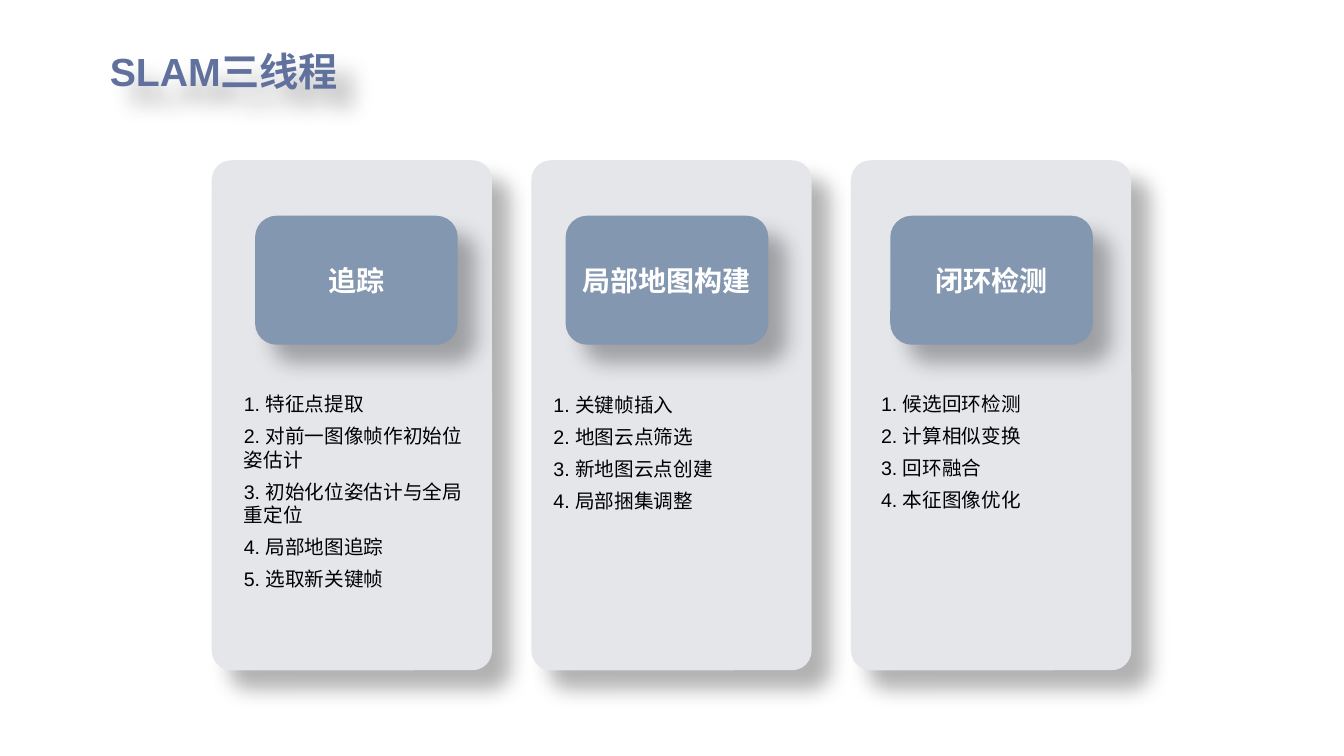
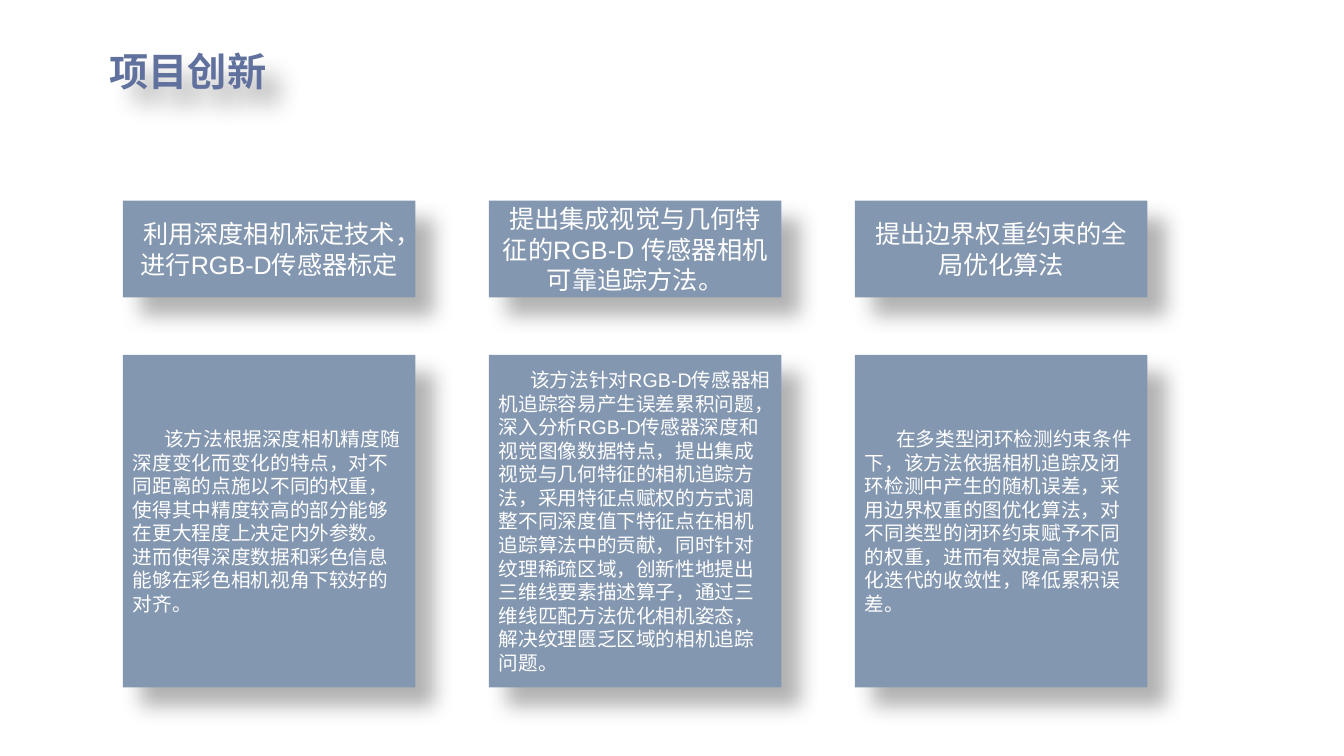
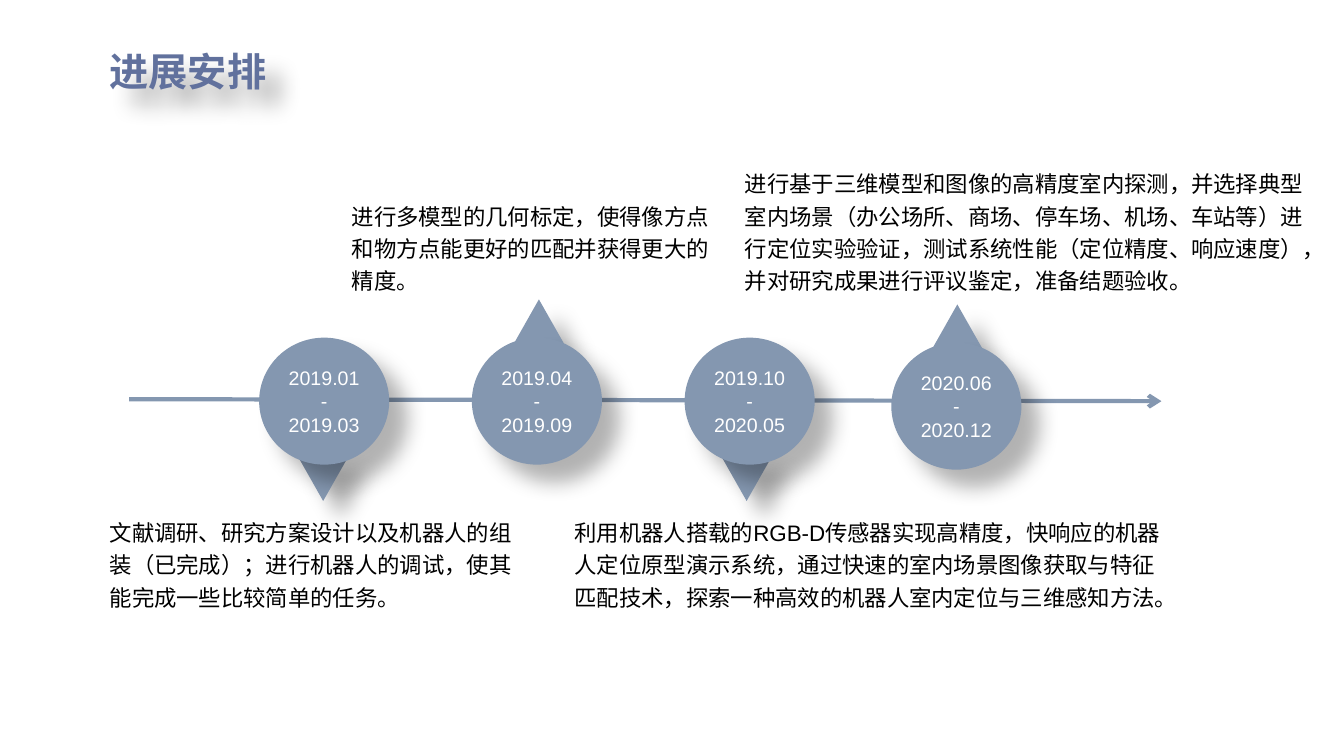
from lxml import etree
from pptx import Presentation
from pptx.dml.color import RGBColor
from pptx.enum.shapes import MSO_CONNECTOR, MSO_SHAPE
from pptx.enum.text import MSO_ANCHOR, MSO_AUTO_SIZE, PP_ALIGN
from pptx.oxml.ns import qn
from pptx.util import Inches, Pt

RECT, ROUNDED = MSO_SHAPE.RECTANGLE, MSO_SHAPE.ROUNDED_RECTANGLE
CIRCLE, TRIANGLE = MSO_SHAPE.OVAL, MSO_SHAPE.ISOSCELES_TRIANGLE
STRAIGHT = MSO_CONNECTOR.STRAIGHT
LEFT, CENTER = PP_ALIGN.LEFT, PP_ALIGN.CENTER
TOP, MIDDLE = MSO_ANCHOR.TOP, MSO_ANCHOR.MIDDLE
GROW = MSO_AUTO_SIZE.SHAPE_TO_FIT_TEXT

# Shared look
SLIDE_W, SLIDE_H = 13.33, 7.5
BLUE, PALE, INK, WHITE, BLACK = "8497B0", "E4E6EA", "61719D", "FFFFFF", "000000"
FONT = "Arial"
TITLE = {"size": Pt(28), "bold": True}
CARD_HEAD = {"size": Pt(20), "bold": True}
BANNER = {"size": Pt(18)}
NOTE = {"size": Pt(16)}
BODY = {"size": Pt(14)}
LIST_SPACING = {"space_after": Pt(6)}
NOTE_SPACING = {"line_spacing": Pt(23)}

# Slide 1: column offsets of heading and list, heading, list top, steps
CARD_LEFT, CARD_PITCH, CARD_TOP = 2.1, 3.17, 1.59
THREADS = [
    (0.43, 0.22, "追踪", 3.84,
     ["特征点提取", "对前一图像帧作初始位姿估计", "初始化位姿估计与全局重定位",
      "局部地图追踪", "选取新关键帧"]),
    (0.34, 0.12, "局部地图构建", 3.85,
     ["关键帧插入", "地图云点筛选", "新地图云点创建", "局部捆集调整"]),
    (0.39, 0.2, "闭环检测", 3.84,
     ["候选回环检测", "计算相似变换", "回环融合", "本征图像优化"]),
]

# Slide 2: banner and explanation of each column
COLUMN_LEFT, COLUMN_PITCH, COLUMN_W = 1.22, 3.63, 2.9
INNOVATIONS = [
    ("利用深度相机标定技术，进行RGB-D传感器标定",
     "该方法根据深度相机精度随深度变化而变化的特点，对不同距离的点施以不同的权重，"
     "使得其中精度较高的部分能够在更大程度上决定内外参数。"
     "进而使得深度数据和彩色信息能够在彩色相机视角下较好的对齐。"),
    ("提出集成视觉与几何特征的RGB-D 传感器相机可靠追踪方法。",
     "该方法针对RGB-D传感器相机追踪容易产生误差累积问题，"
     "深入分析RGB-D传感器深度和视觉图像数据特点，提出集成视觉与几何特征的相机追踪方法，"
     "采用特征点赋权的方式调整不同深度值下特征点在相机追踪算法中的贡献，"
     "同时针对纹理稀疏区域，创新性地提出三维线要素描述算子，"
     "通过三维线匹配方法优化相机姿态，解决纹理匮乏区域的相机追踪问题。"),
    ("提出边界权重约束的全局优化算法",
     "在多类型闭环检测约束条件下，该方法依据相机追踪及闭环检测中产生的随机误差，"
     "采用边界权重的图优化算法，对不同类型的闭环约束赋予不同的权重，"
     "进而有效提高全局优化迭代的收敛性，降低累积误差。"),
]

# Slide 3: period, circle left and top, pointer left, points up, note box, note
PHASES = [
    ("2019.01-2019.03", 2.57, 3.35, 2.95, False, (0.99, 5.05, 4.34, 1.04),
     "文献调研、研究方案设计以及机器人的组装（已完成）；"
     "进行机器人的调试，使其能完成一些比较简单的任务。"),
    ("2019.04-2019.09", 4.68, 3.35, 5.09, True, (3.39, 1.91, 3.9, 1.04),
     "进行多模型的几何标定，使得像方点和物方点能更好的匹配并获得更大的精度。"),
    ("2019.10-2020.05", 6.79, 3.35, 7.15, False, (5.6, 5.05, 6.12, 1.04),
     "利用机器人搭载的RGB-D传感器实现高精度，快响应的机器人定位原型演示系统，"
     "通过快速的室内场景图像获取与特征匹配技术，"
     "探索一种高效的机器人室内定位与三维感知方法。"),
    ("2020.06-2020.12", 8.84, 3.4, 9.24, True, (7.29, 1.59, 5.77, 1.36),
     "进行基于三维模型和图像的高精度室内探测，并选择典型室内场景"
     "（办公场所、商场、停车场、机场、车站等）进行定位实验验证，"
     "测试系统性能（定位精度、响应速度），并对研究成果进行评议鉴定，准备结题验收。"),
]


def rgb(code):
    return RGBColor.from_string(code)


def inches(lengths):
    return [Inches(length) for length in lengths]


def add_shadow(shape):
    effects = etree.SubElement(shape._element.spPr, qn("a:effectLst"))
    shadow = etree.SubElement(effects, qn("a:outerShdw"), blurRad=str(Pt(15)),
                              dist=str(Pt(18)), dir="2700000", algn="tl", rotWithShape="0")
    color = etree.SubElement(shadow, qn("a:srgbClr"), val=BLACK)
    etree.SubElement(color, qn("a:alpha"), val="30000")


def write(shape, lines, style, color, align=LEFT, anchor=TOP, spacing=None, indent=0):
    frame = shape.text_frame
    frame.word_wrap = True
    frame.vertical_anchor = anchor
    for number, line in enumerate(lines):
        paragraph = frame.add_paragraph() if number else frame.paragraphs[0]
        paragraph.alignment = align
        if indent:
            paragraph._p.get_or_add_pPr().set("indent", str(Inches(indent)))
        for name, value in (spacing or {}).items():
            setattr(paragraph, name, value)
        run = paragraph.add_run()
        run.text = line
        for name, value in {"name": FONT, **style}.items():
            setattr(run.font, name, value)
        run.font.color.rgb = rgb(color)


def add_panel(shapes, kind, box, fill=BLUE):
    panel = shapes.add_shape(kind, *inches(box))
    panel.fill.solid()
    panel.fill.fore_color.rgb = rgb(fill)
    panel.line.fill.background()
    add_shadow(panel)
    return panel


def add_text(slide, box, lines, style, color=BLACK, spacing=None):
    text = slide.shapes.add_textbox(*inches(box))
    write(text, lines, style, color, spacing=spacing)
    text.text_frame.auto_size = GROW
    return text


def add_titled_slide(deck, title, width=1.77):
    slide = deck.slides.add_slide(deck.slide_layouts[6])
    heading = add_text(slide, (0.99, 0.42, width, 0.57), [title], TITLE, INK)
    heading.fill.background()
    add_shadow(heading)
    return slide


def add_threads(deck):
    slide = add_titled_slide(deck, "SLAM三线程", 2.49)
    for column, (head_dx, list_dx, name, list_top, steps) in enumerate(THREADS):
        left = CARD_LEFT + column * CARD_PITCH
        card = add_panel(slide.shapes, ROUNDED, (left, CARD_TOP, 2.78, 5.06), PALE)
        card.adjustments[0] = 0.07
        head = add_panel(slide.shapes, ROUNDED, (left + head_dx, 2.14, 2.01, 1.28))
        write(head, [name], CARD_HEAD, WHITE, CENTER, MIDDLE)
        numbered = [f"{number}. {step}" for number, step in enumerate(steps, 1)]
        add_text(slide, (left + list_dx, list_top, 2.44, 0.5 + 0.32 * (len(steps) - 1)),
                 numbered, BODY, spacing=LIST_SPACING)


def add_innovations(deck):
    slide = add_titled_slide(deck, "项目创新")
    for column, (summary, detail) in enumerate(INNOVATIONS):
        left = COLUMN_LEFT + column * COLUMN_PITCH
        banner = add_panel(slide.shapes, RECT, (left, 1.99, COLUMN_W, 0.96))
        write(banner, [summary], BANNER, WHITE, CENTER, MIDDLE)
        explanation = add_panel(slide.shapes, RECT, (left, 3.52, COLUMN_W, 3.3))
        write(explanation, [detail], BODY, WHITE, anchor=MIDDLE, indent=0.31)


def add_schedule(deck):
    slide = add_titled_slide(deck, "进展安排")
    # Time axis
    axis = slide.shapes.add_connector(STRAIGHT, *inches((1.28, 3.96, 11.52, 3.98)))
    axis.line.color.rgb = rgb(BLUE)
    axis.line.width = Pt(3)
    etree.SubElement(axis.line._get_or_add_ln(), qn("a:tailEnd"), type="arrow")
    etree.SubElement(axis._element.spPr, qn("a:effectLst"))
    # Phases along the axis
    for period, left, top, pointer_left, points_up, note_box, note in PHASES:
        marker = slide.shapes.add_group_shape().shapes
        pointer_top = top - 0.38 if points_up else top + 1.17
        pointer = add_panel(marker, TRIANGLE, (pointer_left, pointer_top, 0.51, 0.45))
        pointer.rotation = 0 if points_up else 180
        circle = add_panel(marker, CIRCLE, (left, top, 1.29, 1.26))
        write(circle, [period], BODY, WHITE, CENTER, MIDDLE)
        add_text(slide, note_box, [note], NOTE, spacing=NOTE_SPACING)


def main():
    deck = Presentation()
    deck.slide_width, deck.slide_height = inches((SLIDE_W, SLIDE_H))
    add_threads(deck)
    add_innovations(deck)
    add_schedule(deck)
    deck.save("out.pptx")


if __name__ == "__main__":
    main()
